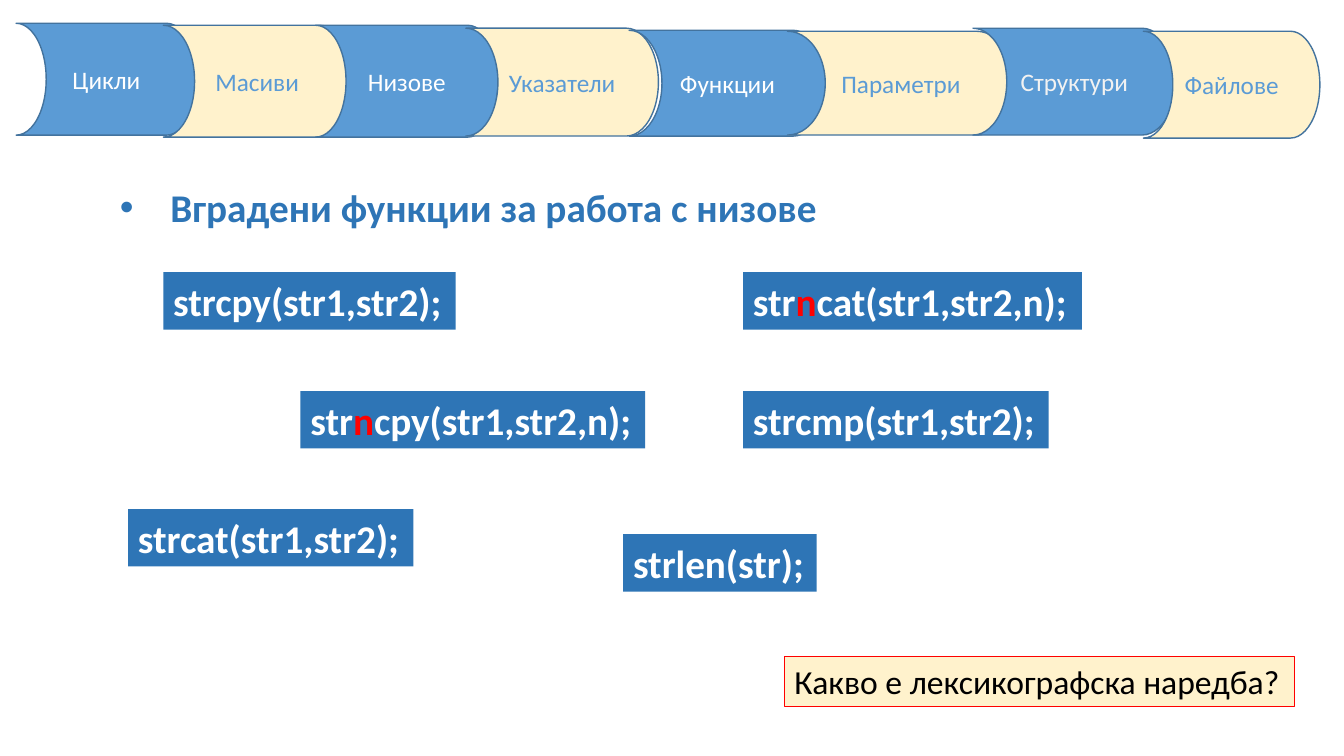
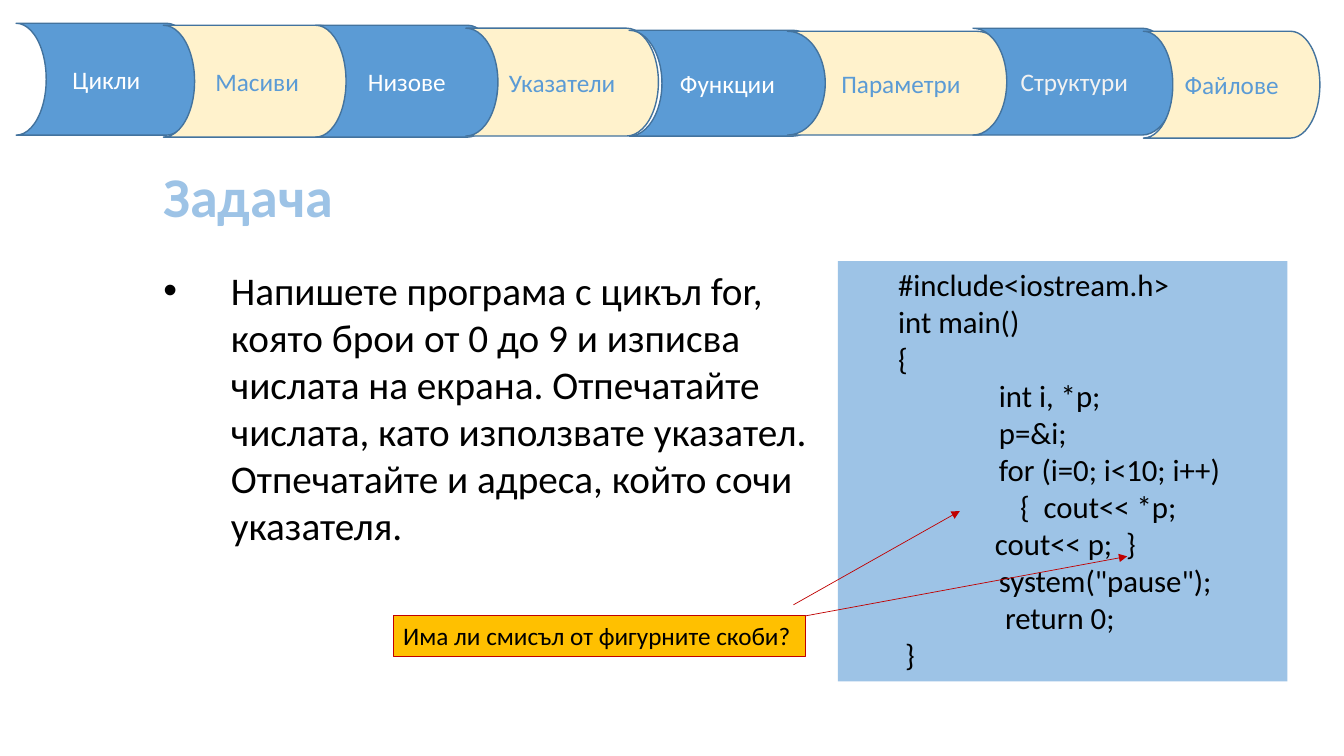
import pptx
import pptx.util
import pptx.dml.color
import pptx.enum.shapes
import pptx.enum.text
import pptx.oxml
import pptx.oxml.ns

Inches = pptx.util.Inches
Pt = pptx.util.Pt
RGBColor = pptx.dml.color.RGBColor
Align = pptx.enum.text.PP_ALIGN
Anchor = pptx.enum.text.MSO_ANCHOR
AutoSize = pptx.enum.text.MSO_AUTO_SIZE

FONT = "Calibri"
BLUE = RGBColor(0x5B, 0x9B, 0xD5)
DARK_BLUE = RGBColor(0x2E, 0x75, 0xB6)
LIGHT_BLUE = RGBColor(0x9D, 0xC3, 0xE6)
OUTLINE = RGBColor(0x43, 0x73, 0x9E)
CREAM = RGBColor(0xFF, 0xF2, 0xCC)
AMBER = RGBColor(0xFF, 0xC0, 0x00)
RED = RGBColor(0xFF, 0x00, 0x00)
DARK_RED = RGBColor(0xC0, 0x00, 0x00)
WHITE = RGBColor(0xFF, 0xFF, 0xFF)
PALE = RGBColor(0xF2, 0xF2, 0xF2)
BLACK = RGBColor(0x00, 0x00, 0x00)

TITLE_ONLY, TITLE_AND_BODY = 5, 1

# Topic, place (left, top, width, height), text colour
TOPICS = [
    ("Цикли", (0.16, 0.23, 1.79, 1.11), WHITE),
    ("Масиви", (1.62, 0.25, 1.86, 1.11), BLUE),
    ("Низове", (3.13, 0.25, 1.81, 1.11), WHITE),
    ("Указатели", (4.62, 0.28, 1.91, 1.07), BLUE),
    ("Функции", (6.24, 0.3, 1.95, 1.05), WHITE),
    ("Параметри", (7.81, 0.31, 2.25, 1.03), BLUE),
    ("Структури", (9.65, 0.28, 2.01, 1.06), PALE),
    ("Файлове", (11.34, 0.31, 1.75, 1.06), BLUE),
]

# Left, top, width, then the parts of the call; the middle part is red
FUNCTIONS = [
    (1.62, 2.7, 2.9, ["strcpy(str1,str2);"]),
    (2.98, 3.88, 3.42, ["str", "n", "cpy(str1,str2,n);"]),
    (1.27, 5.05, 2.83, ["strcat(str1,str2);"]),
    (7.37, 2.7, 3.36, ["str", "n", "cat(str1,str2,n);"]),
    (7.37, 3.88, 3.03, ["strcmp(str1,str2);"]),
    (6.18, 5.3, 1.92, ["strlen(str);"]),
]

# Indent in inches and line of code
CODE = [
    (0.5, "#include<iostream.h>"),
    (0.5, "int main()"),
    (0.5, "{"),
    (1.5, "int i, *p;"),
    (1.5, "p=&i;"),
    (1.5, "for (i=0; i<10; i++)"),
    (1.71, "{  cout<< *p;"),
    (1.46, "cout<< p;  }"),
    (1.5, 'system("pause");'),
    (1.56, "return 0;"),
    (0.57, "}"),
]


def apply(target, values):
    """Set each named value on the target."""
    for name, value in values.items():
        setattr(target, name, value)


def place(shape, at):
    """Move and size a shape, in inches."""
    names = ("left", "top", "width", "height")
    apply(shape, dict(zip(names, map(Inches, at))))


def element(tag, **attributes):
    """Make a drawing element with the given attributes."""
    made = pptx.oxml.parse_xml(f"<{tag} {pptx.oxml.ns.nsdecls('a')}/>")
    for name, value in attributes.items():
        made.set(name, value)
    return made


def indent(para, left, hanging=0, bullet=None):
    """Set the indents of a paragraph and, if given, its bullet."""
    props = para._p.get_or_add_pPr()
    props.set("marL", str(Inches(left)))
    props.set("indent", str(Inches(-hanging)))
    if bullet:
        props.append(element("a:buFont", typeface="Arial"))
        props.append(element("a:buChar", char=bullet))


class Lesson:
    """Holds the deck, its style and the current page."""

    def __init__(self):
        """Start an empty wide deck."""
        self.deck = pptx.Presentation()
        apply(self.deck, {"slide_width": Inches(13.33),
                          "slide_height": Inches(7.5)})
        self.page = None

    def new_page(self, layout):
        """Start a page on the given layout."""
        self.page = self.deck.slides.add_slide(
            self.deck.slide_layouts[layout])

    def frame(self, shape, wrap=False, anchor=Anchor.TOP):
        """Format the text frame of a shape and return it."""
        apply(shape.text_frame, {
            "word_wrap": wrap, "vertical_anchor": anchor,
            "auto_size": AutoSize.NONE if anchor == Anchor.MIDDLE
            else AutoSize.SHAPE_TO_FIT_TEXT})
        return shape.text_frame

    def add_spans(self, para, spans, size, bold=False, align=Align.LEFT):
        """Fill a paragraph with (text, colour) spans."""
        apply(para, {"alignment": align, "space_before": Pt(0)})
        for text, color in spans:
            span = para.add_run()
            span.text = text
            apply(span.font, {"name": FONT, "size": Pt(size), "bold": bold})
            span.font.color.rgb = color

    def paint(self, shape, fill, line=None, width=0.75):
        """Give a shape a solid fill and an optional outline."""
        shape.fill.solid()
        shape.fill.fore_color.rgb = fill
        if line is not None:
            shape.line.color.rgb = line
            shape.line.width = Pt(width)

    def topic_band(self):
        """Draw the topic band and hand it to the slide master."""
        master = self.deck.slide_master.shapes.element
        for index, (topic, at, color) in enumerate(TOPICS):
            tab = self.page.shapes.add_shape(
                pptx.enum.shapes.MSO_SHAPE.FLOWCHART_STORED_DATA,
                *map(Inches, at))
            tab.shadow.inherit = False
            tab.rotation = 180
            tab.element.spPr.xfrm.set("flipV", "1")
            self.paint(tab, CREAM if index % 2 else BLUE, OUTLINE, 1)
            text = self.frame(tab, True, Anchor.MIDDLE)
            self.add_spans(text.paragraphs[0], [(topic, color)], 18,
                           align=Align.CENTER)
            tab.element.nvSpPr.cNvPr.set("id", str(100 + index))
            master.append(tab.element)

    def title(self, at, text, size, color):
        """Fill the title placeholder and return its paragraph."""
        title = self.page.shapes.title
        place(title, at)
        para = self.frame(title).paragraphs[0]
        self.add_spans(para, [(text, color)], size, bold=True)
        return para

    def body(self, at, text):
        """Fill the body placeholder with one bulleted paragraph."""
        body = self.page.placeholders[1]
        place(body, at)
        para = self.frame(body, wrap=True).paragraphs[0]
        self.add_spans(para, [(text, BLACK)], 28)
        indent(para, 0.67, 0.67, "•")

    def label(self, at, spans, size, fill, line=None, bold=False):
        """Add a filled box with one line of text."""
        box = self.page.shapes.add_textbox(*map(Inches, at))
        self.paint(box, fill, line)
        self.add_spans(self.frame(box).paragraphs[0], spans, size, bold)

    def code(self, at, lines):
        """Add a filled box with indented lines of code."""
        box = self.page.shapes.add_textbox(*map(Inches, at))
        self.paint(box, LIGHT_BLUE)
        text = self.frame(box, wrap=True)
        for index, (left, line) in enumerate(lines):
            para = text.add_paragraph() if index else text.paragraphs[0]
            self.add_spans(para, [(line, BLACK)], 22)
            indent(para, left)

    def arrow(self, *ends):
        """Add a thin arrow from x, y to x, y."""
        arrow = self.page.shapes.add_connector(
            pptx.enum.shapes.MSO_CONNECTOR.STRAIGHT, *map(Inches, ends))
        arrow.line.color.rgb = DARK_RED
        arrow.line.width = Pt(0.5)
        props = arrow.element.spPr
        props.get_or_add_ln().append(element("a:tailEnd", type="triangle"))
        props.append(element("a:effectLst"))


def string_functions(lesson):
    """Build the page of built-in string functions."""
    lesson.new_page(TITLE_ONLY)
    lesson.topic_band()
    heading = lesson.title((1.09, 1.77, 7.19, 0.57),
                           "Вградени функции за работа с низове",
                           28, DARK_BLUE)
    indent(heading, 0.5, 0.5, "•")
    for left, top, width, parts in FUNCTIONS:
        spans = list(zip(parts, (WHITE, RED, WHITE)))
        lesson.label((left, top, width, 0.57), spans, 28, DARK_BLUE,
                     bold=True)
    lesson.label((7.78, 6.51, 5.06, 0.5),
                 [("Какво е лексикографска наредба?", BLACK)],
                 24, CREAM, RED)


def pointer_task(lesson):
    """Build the page with the pointer exercise."""
    lesson.new_page(TITLE_AND_BODY)
    lesson.title((1.52, 1.55, 1.9, 0.77), "Задача", 40, LIGHT_BLUE)
    lesson.body((1.52, 2.59, 6.67, 2.93),
                "Напишете програма с цикъл for, която брои от 0 до 9 и "
                "изписва числата на екрана. Отпечатайте числата, като "
                "използвате указател. Отпечатайте и адреса, който сочи "
                "указателя.")
    lesson.code((8.31, 2.59, 4.46, 4.17), CODE)
    lesson.label((3.9, 6.11, 4.09, 0.4),
                 [("Има ли смисъл от фигурните скоби?", BLACK)],
                 18, AMBER, DARK_RED)
    lesson.arrow(7.87, 6, 9.52, 5.07)
    lesson.arrow(7.99, 6.11, 11.18, 5.52)


lesson = Lesson()
string_functions(lesson)
pointer_task(lesson)
lesson.deck.save("out.pptx")
